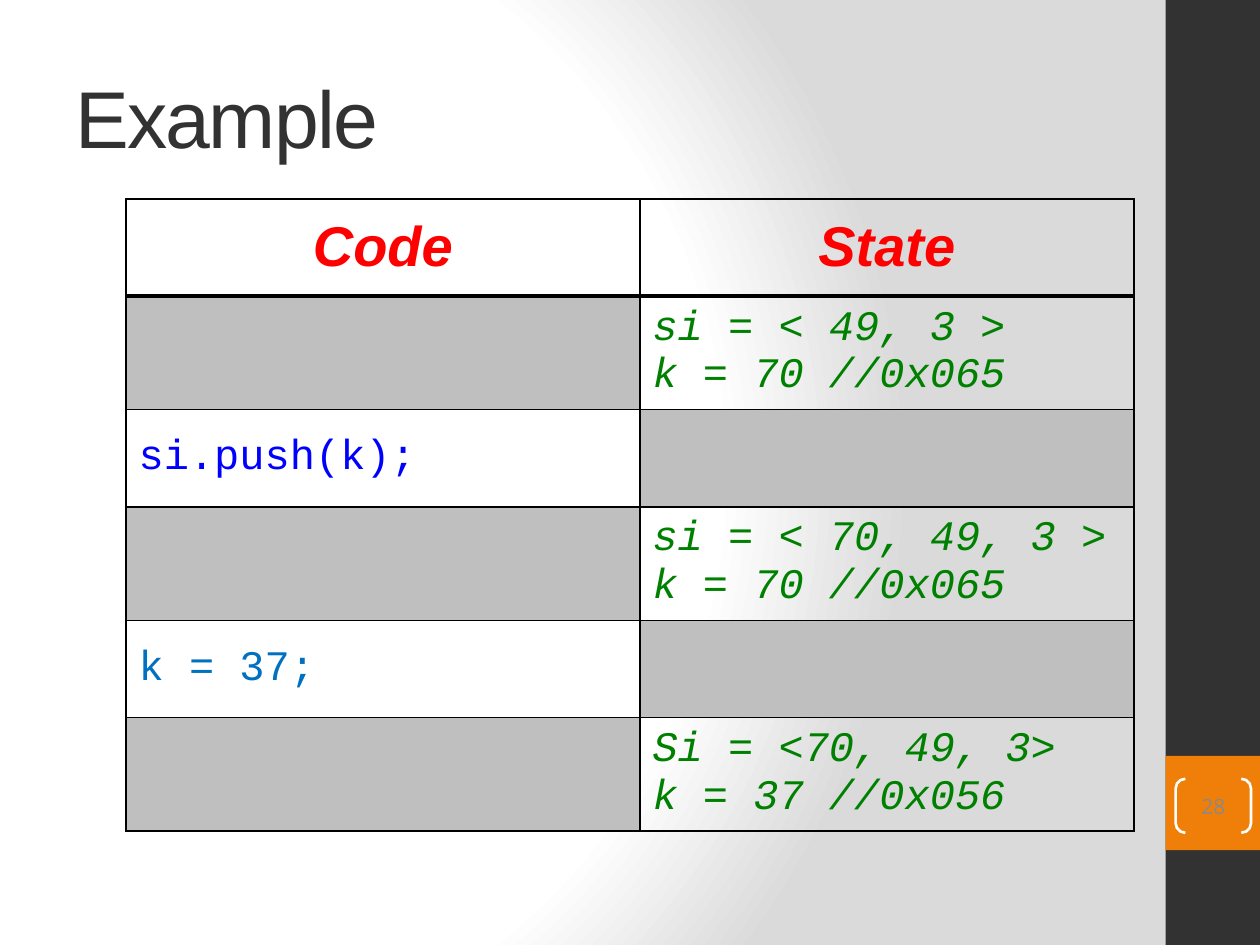
from pptx import Presentation
from pptx.dml.color import RGBColor
from pptx.enum.shapes import MSO_SHAPE
from pptx.enum.text import MSO_ANCHOR, PP_ALIGN
from pptx.oxml import parse_xml
from pptx.oxml.ns import nsdecls
from pptx.util import Cm, Pt

DARK, ORANGE, GRAY = "323232", "F07F09", "BFBFBF"
RED, GREEN, BLUE, AZURE = "FF0000", "008000", "0000FF", "0070C0"
STOPS = [(0, "FFFFFF"), (75, "FFFFFF"), (100, "DADADA")]
BANDS = [(0, 19.05, DARK), (15.24, 1.9, ORANGE)]
HEADS = ["Code", "State"]
STEPS = [
    (1, GREEN, ["si = < 49, 3 >", "k = 70 //0x065"]),
    (0, BLUE, ["si.push(k);"]),
    (1, GREEN, ["si = < 70, 49, 3 >", "k = 70 //0x065"]),
    (0, AZURE, ["k = 37;"]),
    (1, GREEN, ["Si = <70, 49, 3>", "k = 37 //0x056"]),
]
COLS = [10.36, 9.96]
LOW, HIGH = 1.96, 2.18


def color(code):
    return RGBColor.from_string(code)


def paint(shape, code):
    shape.shadow.inherit = False
    shape.fill.solid()
    shape.fill.fore_color.rgb = color(code)
    shape.line.fill.background()


def write(frame, lines, font, size, code, bold=False, slant=False, align=PP_ALIGN.LEFT):
    for i, line in enumerate(lines):
        para = frame.add_paragraph() if i else frame.paragraphs[0]
        para.alignment = align
        run = para.add_run()
        run.text = line
        face = run.font
        face.name, face.size = font, Pt(size)
        face.bold, face.italic = bold, slant
        face.color.rgb = color(code)


def border(cell, top, base):
    props = cell._tc.get_or_add_tcPr()
    for i, (side, width) in enumerate([("L", 1), ("R", 1), ("T", top), ("B", base)]):
        props.insert(i, parse_xml(
            f'<a:ln{side} {nsdecls("a")} w="{Pt(width)}"><a:solidFill>'
            f'<a:srgbClr val="000000"/></a:solidFill></a:ln{side}>'))


deck = Presentation()
deck.slide_width, deck.slide_height = Cm(25.4), Cm(19.05)
slide = deck.slides.add_slide(deck.slide_layouts[6])
shapes = slide.shapes

stops = "".join(f'<a:gs pos="{pos * 1000}"><a:srgbClr val="{code}"/></a:gs>' for pos, code in STOPS)
slide.element.cSld.insert(0, parse_xml(
    f'<p:bg {nsdecls("p", "a")}><p:bgPr><a:gradFill rotWithShape="1"><a:gsLst>{stops}</a:gsLst>'
    '<a:path path="circle"><a:fillToRect l="20000" t="50000" r="100000" b="50000"/></a:path>'
    '</a:gradFill><a:effectLst/></p:bgPr></p:bg>'))

for top, tall, code in BANDS:
    band = shapes.add_shape(MSO_SHAPE.RECTANGLE, Cm(23.5), Cm(top), Cm(1.9), Cm(tall))
    paint(band, code)

title = shapes.add_textbox(Cm(1.27), Cm(0.76), Cm(21.16), Cm(3.18)).text_frame
title.word_wrap = True
title.vertical_anchor = MSO_ANCHOR.MIDDLE
write(title, ["Example"], "Arial", 46, DARK)
title.paragraphs[0].runs[0].font._element.set("spc", "-100")

badge = shapes.add_shape(MSO_SHAPE.DOUBLE_BRACKET, Cm(23.7), Cm(15.7), Cm(1.52), Cm(1.09))
badge.shadow.inherit = False
badge.adjustments[0] = 0.18
badge.fill.background()
badge.line.color.rgb = color("FFFFFF")
badge.line.width = Pt(1.5)
frame = badge.text_frame
frame.margin_left = frame.margin_right = frame.margin_top = frame.margin_bottom = 0
frame.vertical_anchor = MSO_ANCHOR.MIDDLE
write(frame, ["28"], "Open Sans", 12, "898989", align=PP_ALIGN.CENTER)

talls = [LOW] + [HIGH if col else LOW for col, code, lines in STEPS]
table = shapes.add_table(len(talls), 2, Cm(2.54), Cm(4.01), Cm(sum(COLS)), Cm(sum(talls))).table
for col, width in zip(table.columns, COLS):
    col.width = Cm(width)
for i, (row, tall) in enumerate(zip(table.rows, talls)):
    row.height = Cm(tall)
    for j, cell in enumerate(row.cells):
        cell.vertical_anchor = MSO_ANCHOR.MIDDLE
        cell.fill.background()
        if i == 0:
            write(cell.text_frame, [HEADS[j]], "Arial", 32, RED, True, True, PP_ALIGN.CENTER)
        else:
            col, code, lines = STEPS[i - 1]
            if j == col:
                write(cell.text_frame, lines, "Courier New", 24, code, slant=col == 1)
            else:
                cell.fill.solid()
                cell.fill.fore_color.rgb = color(GRAY)
        border(cell, 3 if i == 1 else 1, 3 if i == 0 else 1)

deck.save("out.pptx")
